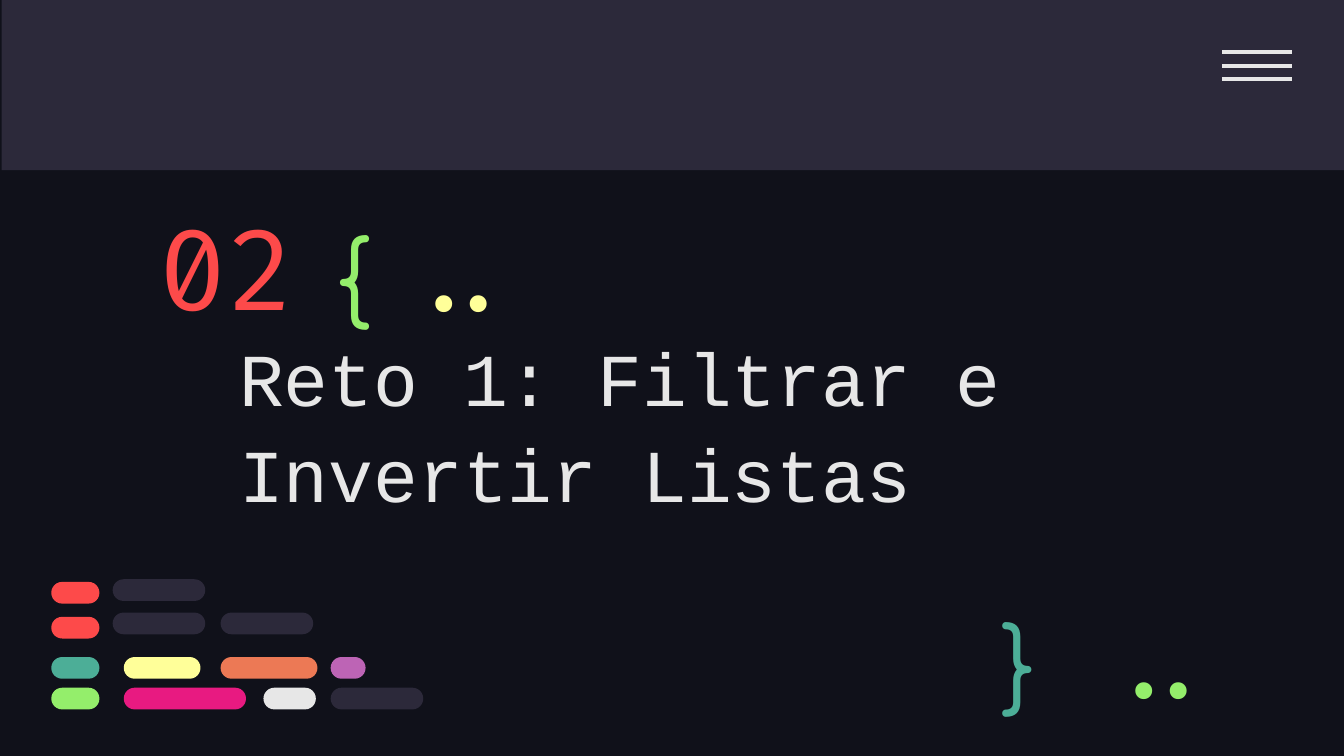
"""Builds the section slide of the second coding challenge."""
import pptx
import pptx.util
import pptx.dml.color
import pptx.enum.shapes
import pptx.enum.text
import pptx.oxml.ns
import lxml.etree

Cm = pptx.util.Cm
RGB = pptx.dml.color.RGBColor
KIND = pptx.enum.shapes.MSO_SHAPE
ALIGN = pptx.enum.text.PP_ALIGN
ANCHOR = pptx.enum.text.MSO_ANCHOR

NIGHT = RGB(0x10, 0x11, 0x1A)
SLATE = RGB(0x2C, 0x29, 0x3A)
WHITE = RGB(0xE7, 0xE7, 0xE7)
RED = RGB(0xFD, 0x4A, 0x4A)
GREEN = RGB(0x94, 0xEE, 0x6B)
TEAL = RGB(0x4C, 0xAE, 0x97)
YELLOW = RGB(0xFF, 0xFF, 0x99)
ORANGE = RGB(0xEC, 0x79, 0x55)
PURPLE = RGB(0xBD, 0x64, 0xB5)
PINK = RGB(0xE8, 0x1A, 0x81)

PILLS = [
    (10.95, [(2.13, 1.75, SLATE)]),
    (11, [(0.97, 0.91, RED)]),
    (11.58, [(2.13, 1.75, SLATE), (4.17, 1.75, SLATE)]),
    (11.66, [(0.97, 0.91, RED)]),
    (12.42, [(0.97, 0.91, TEAL), (2.34, 1.45, YELLOW),
             (4.17, 1.83, ORANGE), (6.25, 0.66, PURPLE)]),
    (13, [(0.97, 0.91, GREEN), (2.34, 2.31, PINK),
          (4.98, 0.99, WHITE), (6.25, 1.75, SLATE)]),
]


def write(frame, text, font="Fira Code", size=50, color=WHITE,
          align=ALIGN.LEFT, anchor=ANCHOR.TOP, space=1.0):
    """Put formatted text into a text frame."""
    frame.word_wrap = True
    frame.vertical_anchor = anchor
    frame.margin_left = frame.margin_right = Cm(0.25)
    frame.margin_top = frame.margin_bottom = Cm(0.25)
    line = frame.paragraphs[0]
    line.alignment = align
    line.line_spacing = space
    run = line.add_run()
    run.text = text
    run.font.name = font
    run.font.size = pptx.util.Pt(size)
    run.font.color.rgb = color


class Pen:
    """Holds the style and the slide being drawn."""

    def __init__(self, slide, back=NIGHT, high=0.41, weight=2.25):
        self.slide = slide
        self.high = high
        self.weight = weight
        slide.background.fill.solid()
        slide.background.fill.fore_color.rgb = back

    def block(self, x, y, w, h, color, kind=KIND.RECTANGLE):
        """Draw a plain filled shape."""
        shape = self.slide.shapes.add_shape(kind, Cm(x), Cm(y), Cm(w), Cm(h))
        shape.shadow.inherit = False
        shape.fill.solid()
        shape.fill.fore_color.rgb = color
        shape.line.fill.background()
        return shape

    def pill(self, x, y, w, color):
        """Draw a bar with fully round ends."""
        shape = self.block(x, y, w, self.high, color, KIND.ROUNDED_RECTANGLE)
        shape.adjustments[0] = 0.5

    def rule(self, x, y, w, color):
        """Draw a level line."""
        line = self.slide.shapes.add_connector(
            pptx.enum.shapes.MSO_CONNECTOR.STRAIGHT,
            Cm(x), Cm(y), Cm(x + w), Cm(y))
        line.line.color.rgb = color
        line.line.width = pptx.util.Pt(self.weight)
        lxml.etree.SubElement(line._element.spPr,
                              pptx.oxml.ns.qn("a:effectLst"))

    def label(self, x, y, w, h, text, **style):
        """Add a text box."""
        box = self.slide.shapes.add_textbox(Cm(x), Cm(y), Cm(w), Cm(h))
        write(box.text_frame, text, **style)


def main():
    """Build and save the deck."""
    deck = pptx.Presentation()
    deck.slide_width, deck.slide_height = Cm(25.4), Cm(14.29)
    pen = Pen(deck.slides.add_slide(deck.slide_layouts[6]))

    pen.block(0.03, 0, 25.37, 3.22, SLATE)
    for step in range(3):
        pen.rule(23.09, 0.99 + step * 0.25, 1.32, WHITE)

    pen.label(4.27, 6.3, 18.44, 3.33, "Reto 1: Filtrar e Invertir Listas",
              font="Courier New", size=40, anchor=ANCHOR.MIDDLE, space=1.07)
    pen.label(2.74, 3.76, 4.6, 2.54, "02", size=60, color=RED,
              anchor=ANCHOR.MIDDLE)
    pen.label(6.1, 3.81, 1.96, 2.41, "{", font="Comfortaa", color=GREEN)
    pen.label(18.67, 11.13, 1.45, 2.11, "}", font="Comfortaa", color=TEAL)
    for x, y, color in [(20.57, 11.73, GREEN), (7.34, 4.42, YELLOW)]:
        pen.label(x, y, 2.72, 1.52, "..", color=color,
                  align=ALIGN.RIGHT, anchor=ANCHOR.MIDDLE)

    for y, row in PILLS:
        for x, w, color in row:
            pen.pill(x, y, w, color)

    deck.save("out.pptx")


if __name__ == "__main__":
    main()
